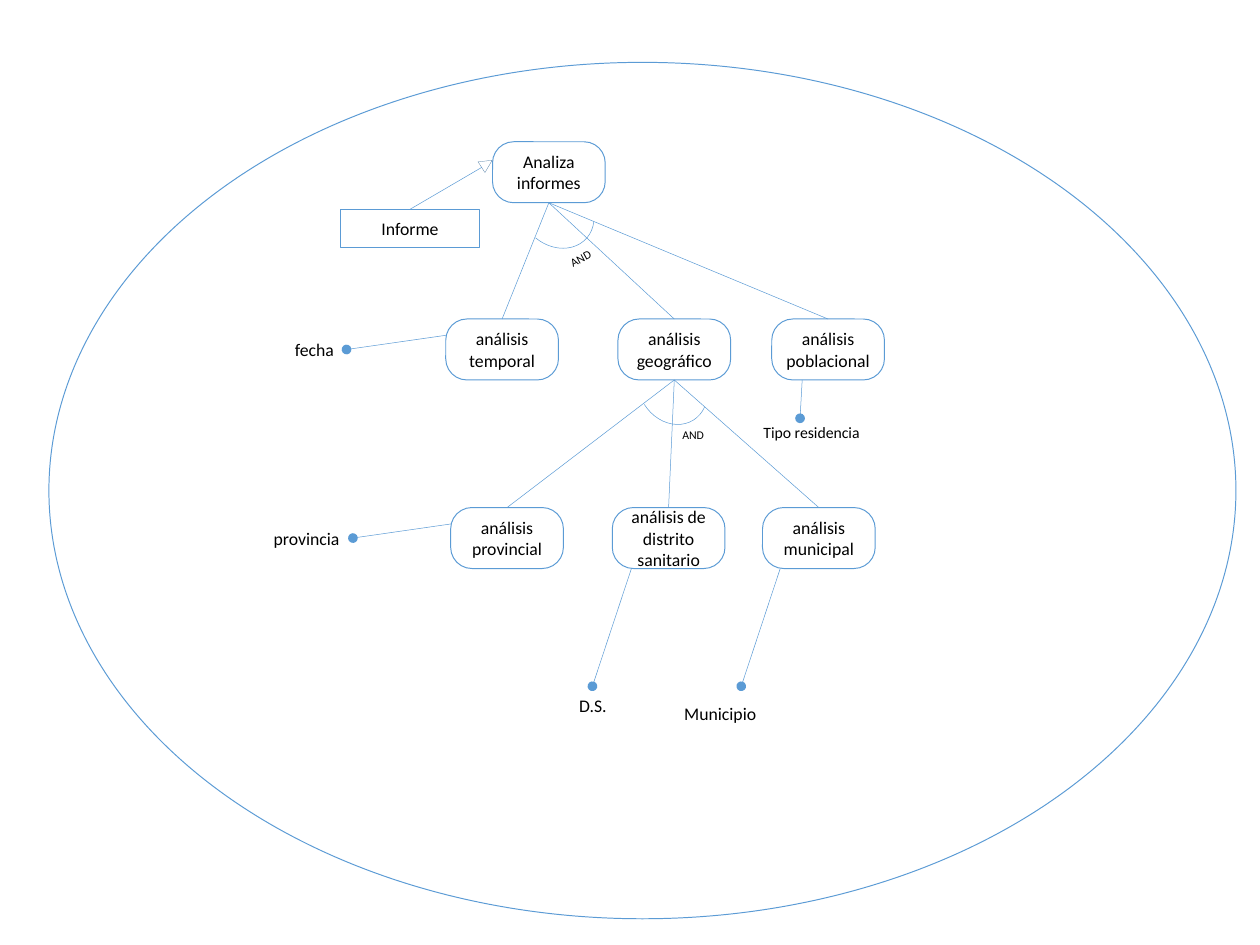
from dataclasses import dataclass

from lxml import etree
from pptx import Presentation
from pptx.dml.color import RGBColor
from pptx.enum.shapes import MSO_CONNECTOR, MSO_SHAPE
from pptx.enum.text import MSO_ANCHOR, PP_ALIGN
from pptx.oxml.ns import qn
from pptx.util import Inches, Pt

STRAIGHT = MSO_CONNECTOR.STRAIGHT
OVAL, BOX, ROUNDED = MSO_SHAPE.FLOWCHART_CONNECTOR, MSO_SHAPE.RECTANGLE, MSO_SHAPE.ROUNDED_RECTANGLE
ARC, TRIANGLE = MSO_SHAPE.ARC, MSO_SHAPE.ISOSCELES_TRIANGLE
MIDDLE = MSO_ANCHOR.MIDDLE
LEFT, CENTER, RIGHT = PP_ALIGN.LEFT, PP_ALIGN.CENTER, PP_ALIGN.RIGHT
TOP_SITE, BOTTOM_SITE = 0, 2


@dataclass(frozen=True)
class Theme:
    """Colours, font and sizes of the slide."""
    line: RGBColor = RGBColor(0x5B, 0x9B, 0xD5)
    arrow: RGBColor = RGBColor(0x43, 0x73, 0x9E)
    fill: RGBColor = RGBColor(0xFF, 0xFF, 0xFF)
    text: RGBColor = RGBColor(0, 0, 0)
    font: str = "Calibri"
    body: int = 18
    note: int = 16
    small: int = 12


THEME = Theme()
NODE_W, NODE_H = 1.59, 0.86
ROW_1, ROW_2, ROW_3 = 2, 4.5, 7.16

NODES = {
    "Analiza informes": (6.95, ROW_1),
    "análisis temporal": (6.29, ROW_2),
    "análisis geográfico": (8.72, ROW_2),
    "análisis poblacional": (10.89, ROW_2),
    "análisis provincial": (6.36, ROW_3),
    "análisis de distrito sanitario": (8.64, ROW_3),
    "análisis municipal": (10.76, ROW_3),
}
CHILDREN = {
    "Analiza informes": ["análisis temporal", "análisis geográfico", "análisis poblacional"],
    "análisis geográfico": ["análisis provincial", "análisis de distrito sanitario",
                            "análisis municipal"],
}
ATTRIBUTES = [
    ("fecha", (6.29, 4.73), (4.89, 4.93), (3.92, 4.73, 0.89, 0.4), THEME.body),
    ("provincia", (6.37, 7.39), (4.98, 7.59), (2.46, 7.39, 2.43, 0.4), THEME.body),
    ("D.S.", (8.91, 8.02), (8.36, 9.68), (6.23, 9.75, 2.43, 0.4), THEME.body),
    ("Municipio", (11.01, 8.02), (10.46, 9.68), (8.34, 9.86, 2.43, 0.4), THEME.body),
    ("Tipo residencia", (11.32, 5.36), (11.29, 5.9), (9.8, 5.92, 2.43, 0.37), THEME.note),
]
AND_MARKS = [
    ((7.39, 2.44), 130.2, (7.94, 3.49), 331.8),
    ((9.02, 4.9), 147.9, (9.53, 5.99), 0),
]


def write(sp, text, size=THEME.body, align=CENTER, wrap=True):
    """Put formatted text into a shape."""
    tf = sp.text_frame
    tf.word_wrap = wrap
    p = tf.paragraphs[0]
    p.alignment = align
    r = p.add_run()
    r.text = text
    r.font.name, r.font.size = THEME.font, Pt(size)
    r.font.color.rgb = THEME.text


def add_shape(s, kind, box, fill=THEME.fill, line=THEME.line, width=1, rotation=0, adjust=()):
    """Add an outlined preset shape."""
    sp = s.shapes.add_shape(kind, *map(Inches, box))
    sp.shadow.inherit = False
    if fill is None:
        sp.fill.background()
    else:
        sp.fill.solid()
        sp.fill.fore_color.rgb = fill
    sp.line.color.rgb, sp.line.width = line, Pt(width)
    sp.rotation = rotation
    for i, value in enumerate(adjust):
        sp.adjustments[i] = value
    return sp


def add_box(s, kind, box, text, adjust=()):
    """Add a shape with centred text."""
    sp = add_shape(s, kind, box, adjust=adjust)
    sp.text_frame.vertical_anchor = MIDDLE
    write(sp, text)
    return sp


def add_label(s, box, text, rotation=0, **style):
    """Add a text box."""
    sp = s.shapes.add_textbox(*map(Inches, box))
    sp.rotation = rotation
    write(sp, text, **style)


def add_line(s, start=(0, 0), end=(0, 0), dot=False):
    """Add a thin straight line, with a dot at its end if asked."""
    line = s.shapes.add_connector(STRAIGHT, *map(Inches, start + end))
    line.line.color.rgb, line.line.width = THEME.line, Pt(0.5)
    if dot:
        etree.SubElement(line.line._get_or_add_ln(), qn("a:tailEnd"),
                         type="oval", w="lg", len="lg")
    etree.SubElement(line._element.spPr, qn("a:effectLst"))
    return line


def add_branch(s, parent, child):
    """Connect the bottom of a parent to the top of a child."""
    line = add_line(s)
    line.begin_connect(parent, BOTTOM_SITE)
    line.end_connect(child, TOP_SITE)


def add_and_mark(s, arc_at, arc_turn, label_at, label_turn):
    """Add an arc across the branches and its AND label."""
    add_shape(s, ARC, (*arc_at, 0.94, 1.11), fill=None, width=0.5,
              rotation=arc_turn, adjust=(146.431, 0))
    add_label(s, (*label_at, 0.51, 0.3), "AND", rotation=label_turn,
              size=THEME.small, align=LEFT, wrap=False)


def add_attribute(s, text, start, end, box, size):
    """Add a dotted line and the label of an attribute."""
    add_line(s, start, end, dot=True)
    add_label(s, box, text, size=size, align=RIGHT)


def main():
    """Build the goal tree slide."""
    prs = Presentation()
    prs.slide_width, prs.slide_height = Inches(17.78), Inches(13.33)
    s = prs.slides.add_slide(prs.slide_layouts[6])
    add_shape(s, OVAL, (0.69, 0.88, 16.75, 12.08), fill=None)
    nodes = {text: add_box(s, ROUNDED, (*at, NODE_W, NODE_H), text, adjust=(0.347,))
             for text, at in NODES.items()}
    for parent, children in CHILDREN.items():
        for child in children:
            add_branch(s, nodes[parent], nodes[child])
    for mark in AND_MARKS:
        add_and_mark(s, *mark)
    add_box(s, BOX, (4.81, 2.95, 1.95, 0.54), "Informe")
    add_shape(s, TRIANGLE, (6.78, 2.22, 0.18, 0.18), line=THEME.arrow, width=0.25, rotation=57.1)
    add_line(s, (6.8, 2.36), (5.79, 2.95))
    for attribute in ATTRIBUTES:
        add_attribute(s, *attribute)
    prs.save("out.pptx")


main()
